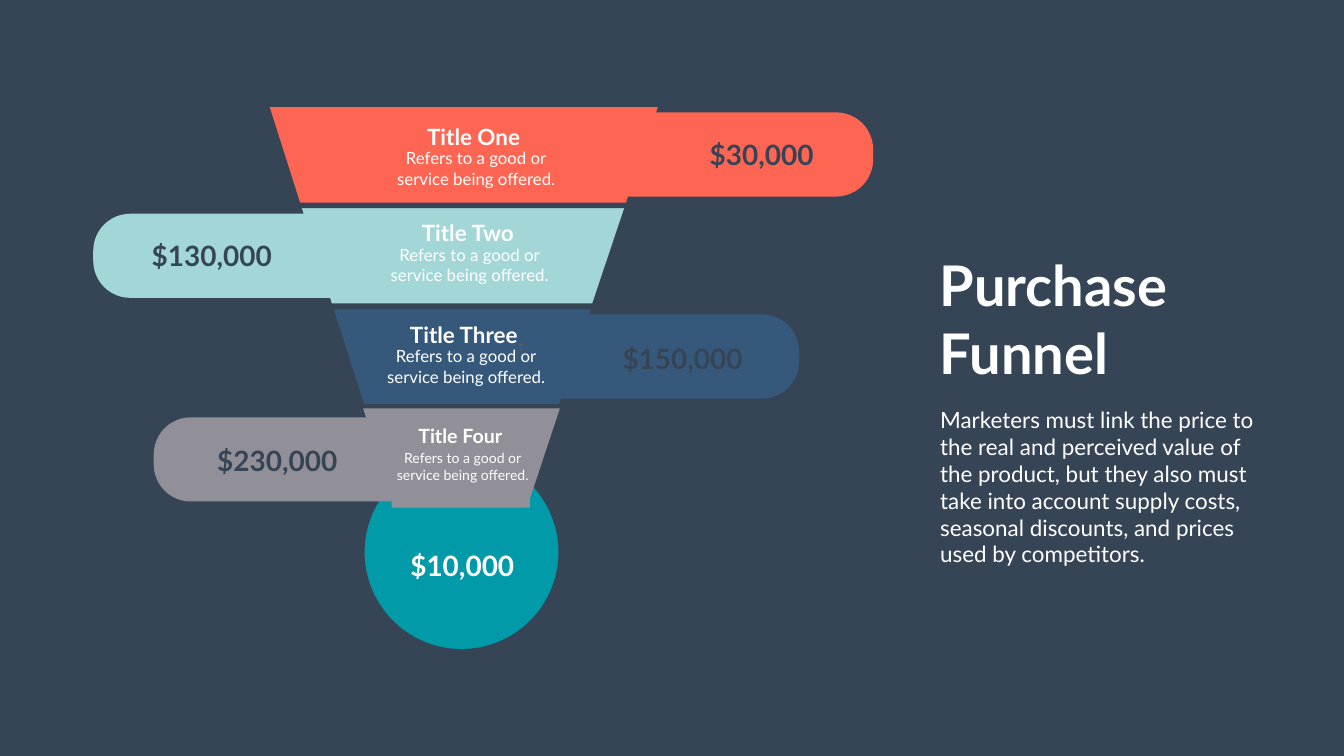
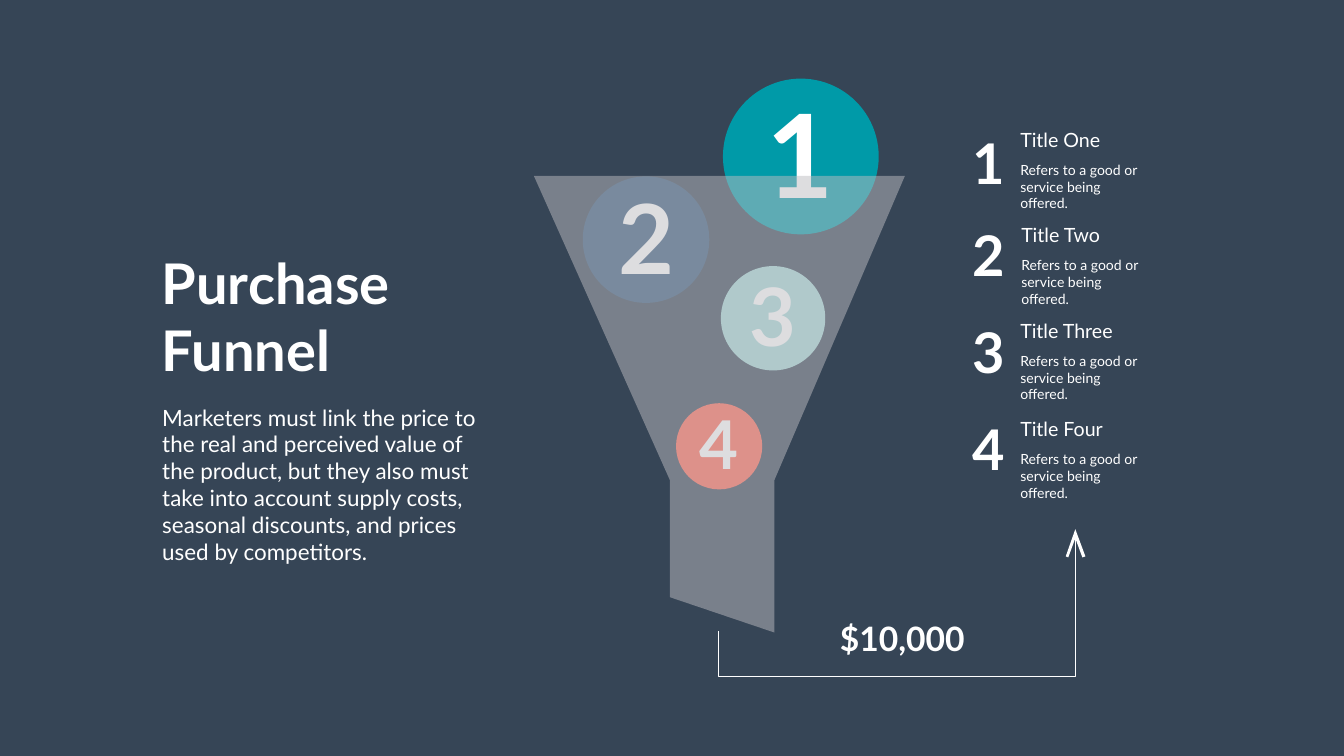
from lxml.etree import SubElement
from pptx import Presentation
from pptx.dml.color import RGBColor
from pptx.enum.shapes import MSO_SHAPE as Shape
from pptx.enum.text import MSO_ANCHOR as Anchor, MSO_AUTO_SIZE as AutoSize, PP_ALIGN as Align
from pptx.oxml.ns import qn
from pptx.util import Inches, Pt

# Shared style
NAVY, WHITE, TEAL = "364556", "FFFFFF", "009AA8"
CORAL, AQUA, BLUE, GREY = "FE6653", "A3D7D7", "36597B", "919098"
HEADING = "Purchase Funnel"
INTRO = ("Marketers must link the price to the real and perceived value of the product, "
         "but they also must take into account supply costs, seasonal discounts, "
         "and prices used by competitors.")
DETAIL = ("Refers to a good or", "service being offered.")


def color(hex_string):
    return RGBColor.from_string(hex_string)


class Deck:
    font = "Lato"

    def __init__(self):
        self.presentation = Presentation()
        self.presentation.slide_width = Inches(26.66)
        self.presentation.slide_height = Inches(15)
        self.slide = None

    def new_slide(self, left, top):
        """Start a slide whose heading and introduction begin at left, top."""
        self.slide = self.presentation.slides.add_slide(self.presentation.slide_layouts[5])
        fill = self.slide.background.fill
        fill.solid()
        fill.fore_color.rgb = color(NAVY)
        title = self.slide.shapes.title
        place = {"left": left, "top": top, "width": 5.57, "height": 2.79}
        for name, value in place.items():
            setattr(title, name, Inches(value))
        self.fill_text(title.text_frame, [HEADING], 80, bold=True, wrap=True)
        self.text([INTRO], left + 0.01, top + 3.08, 6.63, 3.33, 32, wrap=True)

    def fill_text(self, frame, lines, size, bold=False, hex_color=WHITE, align=Align.LEFT,
                  wrap=False):
        frame_format = {"word_wrap": wrap, "vertical_anchor": Anchor.TOP,
                        "auto_size": AutoSize.SHAPE_TO_FIT_TEXT}
        for name, value in frame_format.items():
            setattr(frame, name, value)
        font_format = {"name": self.font, "size": Pt(size), "bold": bold}
        for index, line in enumerate(lines):
            paragraph = frame.add_paragraph() if index else frame.paragraphs[0]
            paragraph.alignment = align
            run = paragraph.add_run()
            run.text = line
            for name, value in font_format.items():
                setattr(run.font, name, value)
            run.font.color.rgb = color(hex_color)

    def text(self, lines, left, top, width, height, size, **style):
        box = self.slide.shapes.add_textbox(*map(Inches, (left, top, width, height)))
        self.fill_text(box.text_frame, lines, size, **style)

    def paint(self, shape, fill=None, line=None, line_width=6, alpha=None):
        shape.shadow.inherit = False
        if fill:
            shape.fill.solid()
            shape.fill.fore_color.rgb = color(fill)
        else:
            shape.fill.background()
        if line:
            shape.line.color.rgb = color(line)
            shape.line.width = Pt(line_width)
        else:
            shape.line.fill.background()
        if alpha:
            tint = shape.element.spPr.find(qn("a:solidFill"))[0]
            SubElement(tint, qn("a:alpha")).set("val", str(alpha * 1000))

    def circle(self, left, top, size, fill, line=None):
        shape = self.slide.shapes.add_shape(Shape.OVAL, *map(Inches, (left, top, size, size)))
        self.paint(shape, fill, line)

    def outline(self, points, closed=True, **style):
        corners = [(Inches(x), Inches(y)) for x, y in points]
        builder = self.slide.shapes.build_freeform(*corners[0])
        builder.add_line_segments(corners[1:], close=closed)
        self.paint(builder.convert_to_shape(), **style)

    def tab(self, left, top, fill, side):
        """Draw a bar with rounded ends on the right (side 1) or left (side -1)."""
        length, depth = 4.93, 1.67
        shape = self.slide.shapes.add_shape(
            Shape.ROUND_2_SAME_RECTANGLE, Inches(left + (length - depth) / 2),
            Inches(top - (length - depth) / 2), Inches(depth), Inches(length))
        shape.rotation = 90 * side
        shape.adjustments[0] = 0.44
        shape.adjustments[1] = 0
        self.paint(shape, fill)


def price_funnel(deck):
    deck.new_slide(18.54, 4.93)

    # Ball below the funnel
    deck.circle(7.19, 8.99, 3.93, TEAL, NAVY)
    deck.text(["$10,000"], 8.04, 10.84, 2.29, 0.77, 40, bold=True)

    # Funnel levels, from back to front
    deck.outline([(7.2, 8.09), (11.11, 8.09), (10.51, 9.9), (10.51, 10.07),
                  (7.77, 10.07), (7.77, 9.9)], fill=GREY)
    levels = [(BLUE, 6.09, 8.06, 6.56, 11.78, 7.19, 11.12),
              (CORAL, 2.08, 4.06, 5.29, 13.11, 5.92, 12.45),
              (AQUA, 4.09, 6.06, 5.93, 12.44, 6.55, 11.78)]
    for fill, top, bottom, top_left, top_right, bottom_left, bottom_right in levels:
        deck.outline([(top_left, top), (top_right, top), (bottom_right, bottom),
                      (bottom_left, bottom)], fill=fill, line=NAVY)

    # Side tabs
    for left, top, fill, side in [(12.39, 2.23, CORAL, 1), (1.85, 4.24, AQUA, -1),
                                  (10.92, 6.24, BLUE, 1), (3.05, 8.28, GREY, -1)]:
        deck.tab(left, top, fill, side)

    # Small mark beside the third title
    deck.outline([(10.33, 6.79), (10.34, 6.79), (10.34, 6.83), (10.37, 6.83), (10.37, 6.85),
                  (10.34, 6.85), (10.34, 6.93), (10.37, 6.94), (10.38, 6.95), (10.35, 6.96),
                  (10.33, 6.94), (10.33, 6.85), (10.31, 6.85), (10.31, 6.83), (10.33, 6.83)],
                 fill="606060")

    # Prices on the tabs
    for price, left, top, width in [("$30,000", 13.98, 2.68, 2.29), ("$130,000", 2.91, 4.69, 2.62),
                                    ("$150,000", 12.25, 6.73, 2.62),
                                    ("$230,000", 4.21, 8.75, 2.62)]:
        deck.text([price], left, top, width, 0.77, 40, bold=True, hex_color=NAVY)

    # Level titles and details
    labels = [("Title One", 8.36, 2.39, 2.07, 32, 7.75, 3.39, 24),
              ("Title Two", 8.23, 4.3, 2.1, 32, 7.62, 3.39, 24),
              ("Title Three", 8.01, 6.32, 2.38, 32, 7.55, 3.39, 24),
              ("Title Four", 8.18, 8.37, 1.9, 28, 7.75, 2.86, 20)]
    for label, left, top, width, size, detail_left, detail_width, detail_size in labels:
        deck.text(DETAIL, detail_left, top + 0.5, detail_width, detail_size * 0.038,
                  detail_size, align=Align.CENTER)
        deck.text([label], left, top, width, size * 0.02, size, bold=True, align=Align.CENTER)


def numbered_funnel(deck):
    deck.new_slide(3.11, 4.88)

    # Numbered balls
    balls = [(14.34, 1.56, 3.09, TEAL, 15.1, 1.58, 1.55, 2.89, 166),
             (11.56, 3.5, 2.51, BLUE, 12.17, 3.49, 1.32, 2.42, 138),
             (14.3, 5.28, 2.07, AQUA, 14.77, 5.23, 1.14, 2.04, 115),
             (13.41, 8, 1.71, CORAL, 13.77, 7.94, 0.98, 1.72, 96)]
    for number, (left, top, diameter, fill, *place, size) in enumerate(balls, 1):
        deck.circle(left, top, diameter, fill)
        deck.text([str(number)], *place, size, bold=True)

    # Result arrow
    deck.outline([(14.26, 12.53), (14.26, 13.43), (21.33, 13.43), (21.33, 10.67)],
                 closed=False, line=WHITE, line_width=1.45)
    deck.outline([(21.53, 11.04), (21.47, 11.06), (21.33, 10.68), (21.19, 11.06),
                  (21.14, 11.04), (21.33, 10.5)], fill=WHITE)
    deck.text(["$10,000"], 16.56, 12.22, 2.71, 0.91, 48, bold=True)

    # Translucent funnel over the balls
    deck.outline([(10.59, 3.49), (13.29, 9.53), (13.29, 11.85), (15.36, 12.55),
                  (15.36, 9.53), (17.95, 3.49)], fill="BDBCC1", alpha=50)

    # Legend
    legend = [("Title One", 20.14, 2.48, 1.82, 2.51), ("Title Two", 20.16, 4.38, 1.84, 4.32),
              ("Title Three", 20.14, 6.27, 2.09, 6.25), ("Title Four", 20.14, 8.22, 1.88, 8.18)]
    for number, (label, left, top, width, number_top) in enumerate(legend, 1):
        deck.text(DETAIL, left, top + 0.67, 2.81, 0.77, 20)
        deck.text([label], left, top, width, 0.57, 28)
        deck.text([str(number)], 19.2, number_top, 0.85, 1.45, 80, bold=True)


def main():
    deck = Deck()
    price_funnel(deck)
    numbered_funnel(deck)
    deck.presentation.save("out.pptx")


if __name__ == "__main__":
    main()
